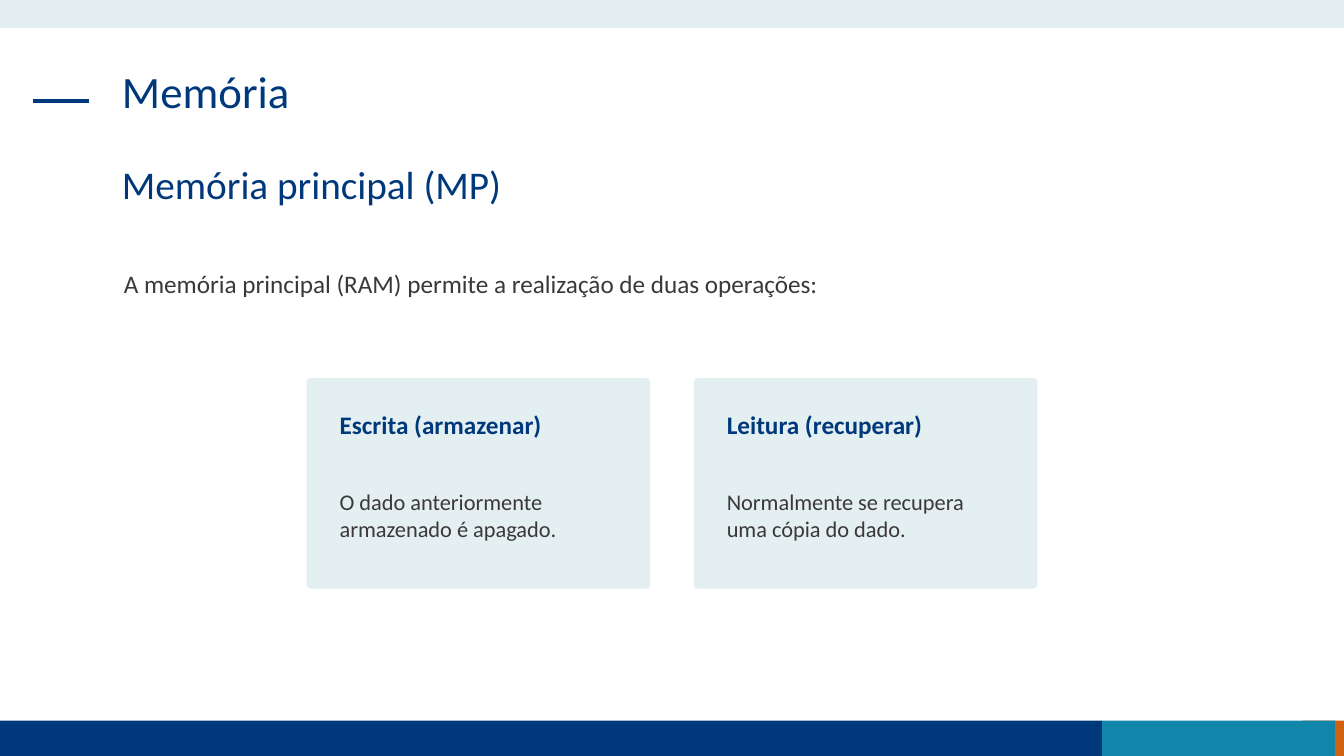
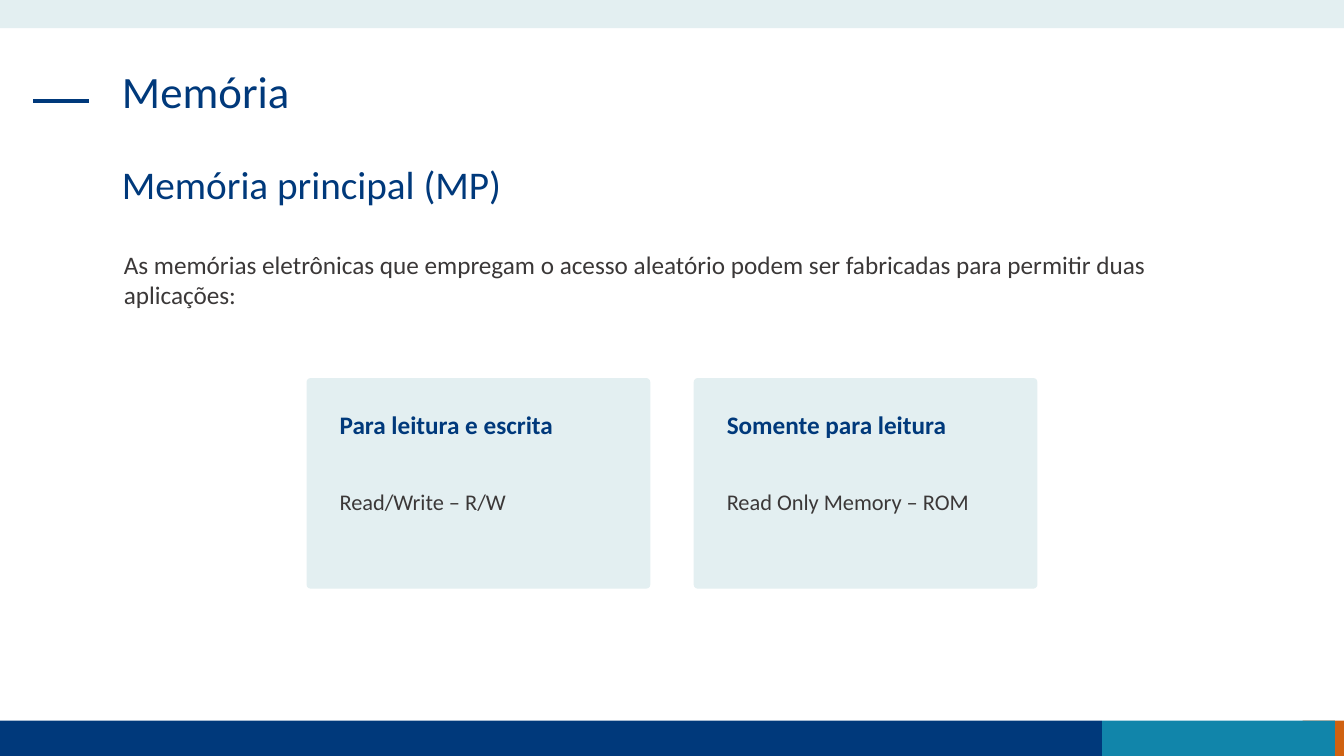
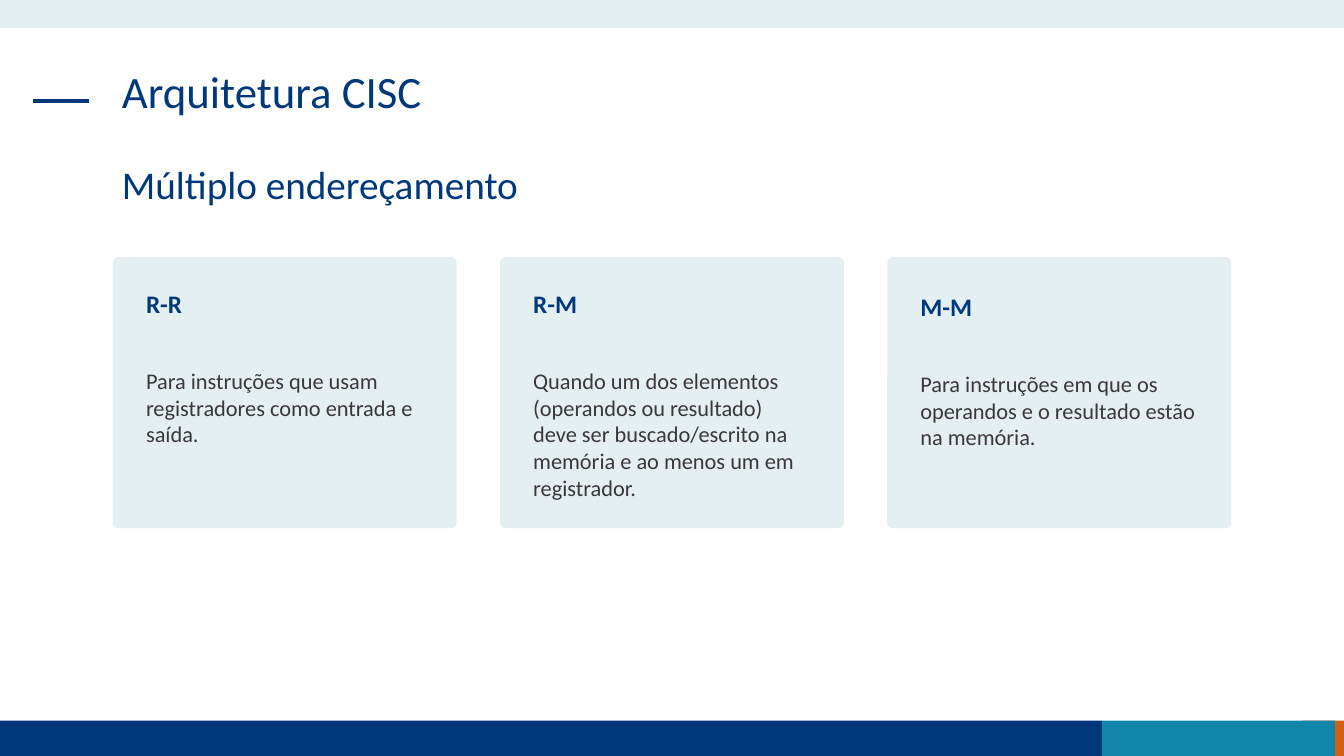
import pptx
import pptx.dml.color
import pptx.enum.shapes
import pptx.enum.text
import pptx.util
from lxml import etree
from pptx.util import Inches

COLOURS = {
    "navy": "00397B",
    "teal": "1185AA",
    "orange": "D06110",
    "pale": "E3EFF1",
    "text": "3B3838",
}
FONT = "Calibri"
PAGE_WIDTH, PAGE_HEIGHT = 13.33, 7.5
FOOTER_TOP, FOOTER_HEIGHT = 7.15, 0.35
CARD_WIDTH, CARD_GAP, CARD_INSET = 3.41, 0.43, 0.23
HEADING_OFFSET, DETAIL_OFFSET = 0.26, 1.04
SHAPES = pptx.enum.shapes.MSO_SHAPE


def colour(name):
    return pptx.dml.color.RGBColor.from_string(COLOURS[name])


def format_paragraph(para, size, colour_name, bold=False):
    para.alignment = pptx.enum.text.PP_ALIGN.LEFT
    para.font.name = FONT
    para.font.size = pptx.util.Pt(size)
    para.font.bold = bold
    para.font.color.rgb = colour(colour_name)


def add_panel(shapes, kind, left, top, width, height, fill):
    panel = shapes.add_shape(
        kind, Inches(left), Inches(top), Inches(width), Inches(height))
    panel.shadow.inherit = False
    panel.fill.solid()
    panel.fill.fore_color.rgb = colour(fill)
    panel.line.fill.background()
    return panel


def add_text(shapes, text, left, top, width, height, size, colour_name, bold=False):
    box = shapes.add_textbox(
        Inches(left), Inches(top), Inches(width), Inches(height))
    box.text_frame.word_wrap = True
    box.text_frame.text = text
    format_paragraph(box.text_frame.paragraphs[0], size, colour_name, bold)


def add_title_rule(shapes):
    rule = shapes.add_connector(
        pptx.enum.shapes.MSO_CONNECTOR.STRAIGHT,
        Inches(0.33), Inches(1), Inches(0.88), Inches(1))
    rule.line.color.rgb = colour("navy")
    rule.line.width = pptx.util.Pt(3)
    etree.SubElement(rule.element.spPr, pptx.oxml.ns.qn("a:effectLst"))
    return rule


def prepare_layout(deck):
    """Give the layout its bands, title rule and placeholder positions."""
    layout = deck.slide_layouts[1]
    for placeholder, top in zip(layout.placeholders, (0.64, 1.59)):
        placeholder.left, placeholder.top = Inches(1.11), Inches(top)
        placeholder.width, placeholder.height = Inches(11.1), Inches(0.94)
        frame = placeholder.text_frame
        frame.vertical_anchor = pptx.enum.text.MSO_ANCHOR.TOP
        frame.auto_size = pptx.enum.text.MSO_AUTO_SIZE.NONE
    return layout


def move_bands_to_layout(page, layout):
    """Draw the shared decoration on a page, then hand it to the layout."""
    bands = (
        (12.92, FOOTER_TOP, 0.41, FOOTER_HEIGHT, "orange"),
        (0, FOOTER_TOP, 10.93, FOOTER_HEIGHT, "navy"),
        (10.93, FOOTER_TOP, 2.31, FOOTER_HEIGHT, "teal"),
        (0, 0, PAGE_WIDTH, 0.28, "pale"),
    )
    decoration = [add_panel(page.shapes, SHAPES.RECTANGLE, *band) for band in bands]
    decoration.append(add_title_rule(page.shapes))
    for shape in decoration:
        layout.shapes.element.append(shape.element)


def add_page(deck, layout, title, subtitle):
    page = deck.slides.add_slide(layout)
    headings = ((page.shapes.title, title, 32), (page.placeholders[1], subtitle, 28))
    for placeholder, text, size in headings:
        placeholder.text_frame.text = text
        para = placeholder.text_frame.paragraphs[0]
        properties = para._p.get_or_add_pPr()
        properties.set("marL", "0")
        properties.set("indent", "0")
        etree.SubElement(properties, pptx.oxml.ns.qn("a:buNone"))
        para.line_spacing = 0.9
        para.space_before = pptx.util.Pt(0)
        format_paragraph(para, size, "navy")
    return page


def add_card(page, left, top, height, heading, detail, drop=0):
    """Add one grouped card; drop lowers its text inside the panel."""
    shapes = page.shapes.add_group_shape().shapes
    panel = add_panel(
        shapes, SHAPES.ROUNDED_RECTANGLE, left, top, CARD_WIDTH, height, "pale")
    panel.adjustments[0] = 0.02
    text_left, text_width = left + CARD_INSET, CARD_WIDTH - 2 * CARD_INSET
    text_top = top + drop
    add_text(shapes, heading, text_left, text_top + HEADING_OFFSET,
             text_width, 0.4, 18, "navy", bold=True)
    add_text(shapes, detail, text_left, text_top + DETAIL_OFFSET,
             text_width, 0.64, 16, "text")


def add_card_row(page, top, height, cards):
    """Spread the cards evenly in a row centred on the page."""
    pitch = CARD_WIDTH + CARD_GAP
    start = (PAGE_WIDTH - len(cards) * pitch + CARD_GAP) / 2
    for index, card in enumerate(cards):
        add_card(page, start + index * pitch, top, height, *card)


def main():
    deck = pptx.Presentation()
    deck.slide_width, deck.slide_height = Inches(PAGE_WIDTH), Inches(PAGE_HEIGHT)
    layout = prepare_layout(deck)

    operations = add_page(deck, layout, "Memória", "Memória principal (MP)")
    move_bands_to_layout(operations, layout)
    add_text(operations.shapes,
             "A memória principal (RAM) permite a realização de duas operações:",
             1.13, 2.61, 7.93, 0.4, 18, "text")
    add_card_row(operations, 3.75, 2.09, [
        ("Escrita (armazenar)", "O dado anteriormente armazenado é apagado."),
        ("Leitura (recuperar)", "Normalmente se recupera uma cópia do dado."),
    ])

    applications = add_page(deck, layout, "Memória", "Memória principal (MP)")
    add_text(applications.shapes,
             "As memórias eletrônicas que empregam o acesso aleatório podem ser "
             "fabricadas para permitir duas aplicações:",
             1.13, 2.42, 10.36, 0.71, 18, "text")
    add_card_row(applications, 3.75, 2.09, [
        ("Para leitura e escrita", "Read/Write – R/W"),
        ("Somente para leitura", "Read Only Memory – ROM"),
    ])

    addressing = add_page(deck, layout, "Arquitetura CISC", "Múltiplo endereçamento")
    add_card_row(addressing, 2.55, 2.69, [
        ("R-R", "Para instruções que usam registradores como entrada e saída."),
        ("R-M", "Quando um dos elementos (operandos ou resultado) deve ser "
                "buscado/escrito na memória e ao menos um em registrador."),
        ("M-M", "Para instruções em que os operandos e o resultado estão "
                "na memória.", 0.03),
    ])

    deck.save("out.pptx")


if __name__ == "__main__":
    main()
